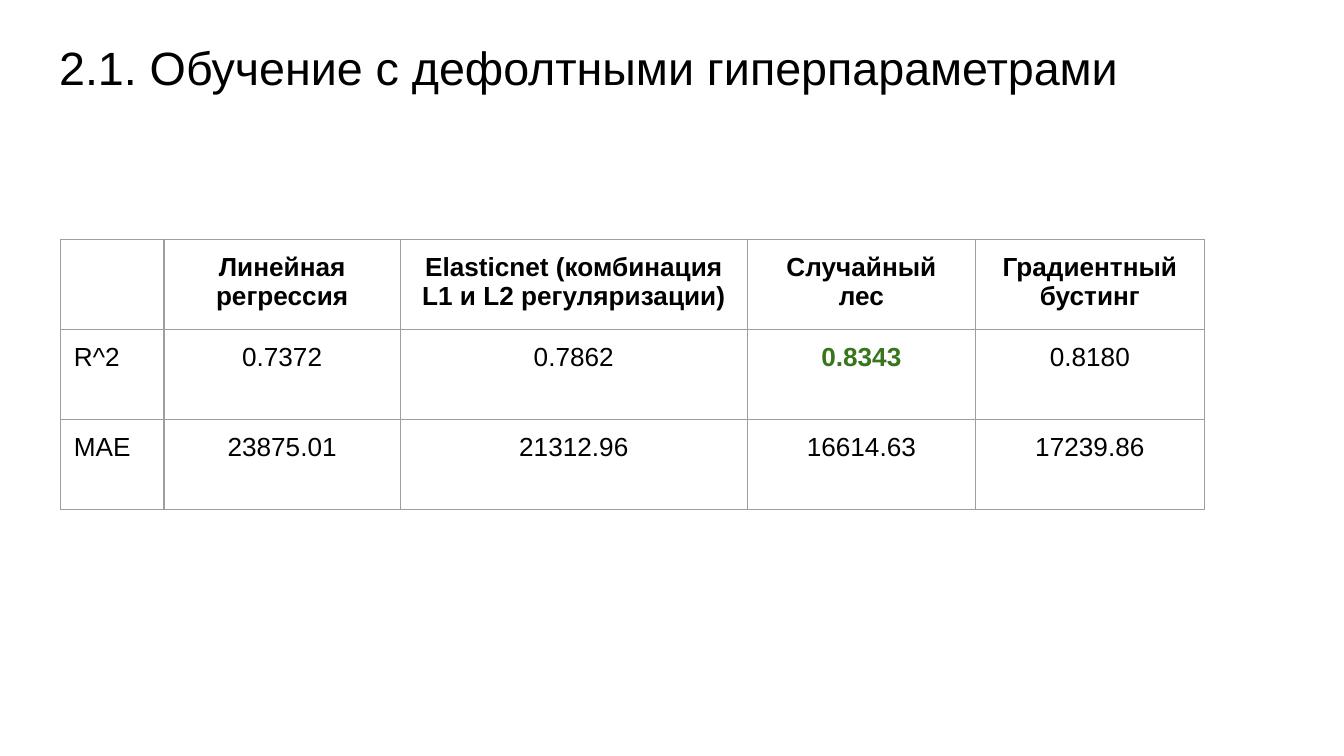
from dataclasses import dataclass

import lxml.etree
import pptx
import pptx.dml.color
import pptx.enum.text
import pptx.oxml.ns
import pptx.util

Inches = pptx.util.Inches
Pt = pptx.util.Pt
Align = pptx.enum.text.PP_ALIGN


@dataclass(frozen=True)
class Theme:
    font: str = "Arial"
    text: str = "000000"
    best: str = "38761D"
    border: str = "9E9E9E"
    background: str = "FFFFFF"
    title_size: float = 25
    table_size: float = 14
    border_width: float = 0.75
    inset: float = 0.1


@dataclass(frozen=True)
class Spacing:
    before: float
    after: float


@dataclass(frozen=True)
class Column:
    width: float
    header: str
    values: tuple[str, ...]
    spacing: Spacing


THEME = Theme()
WIDE = Spacing(14, 4)
COMPACT = Spacing(0, 12)
BEST_VALUE = "0.8343"
ROW_HEIGHT = 0.67
COLUMNS = (
    Column(0.77, "", ("R^2", "MAE"), WIDE),
    Column(1.76, "Линейная регрессия", ("0.7372", "23875.01"), WIDE),
    Column(2.58, "Elasticnet (комбинация L1 и L2 регуляризации)", ("0.7862", "21312.96"), WIDE),
    Column(1.7, "Случайный лес", (BEST_VALUE, "16614.63"), COMPACT),
    Column(1.7, "Градиентный бустинг", ("0.8180", "17239.86"), COMPACT),
)


def add_run(paragraph, text: str, size: float, color: str, bold: bool = False) -> None:
    run = paragraph.add_run()
    run.text = text
    run.font.name = THEME.font
    run.font.size = Pt(size)
    run.font.bold = bold
    run.font.color.rgb = pptx.dml.color.RGBColor.from_string(color)


def set_insets(target) -> None:
    for side in ("left", "right", "top", "bottom"):
        setattr(target, f"margin_{side}", Inches(THEME.inset))


def set_borders(cell) -> None:
    properties = cell._tc.get_or_add_tcPr()
    qualified = pptx.oxml.ns.qn
    for edge in ("lnL", "lnR", "lnT", "lnB"):
        line = lxml.etree.SubElement(
            properties, qualified(f"a:{edge}"), w=str(Pt(THEME.border_width))
        )
        fill = lxml.etree.SubElement(line, qualified("a:solidFill"))
        lxml.etree.SubElement(fill, qualified("a:srgbClr"), val=THEME.border)


def fill_cell(cell, text: str, header: bool, centered: bool, spacing: Spacing) -> None:
    set_insets(cell)
    set_borders(cell)
    cell.fill.background()
    if not text:
        return
    best = text == BEST_VALUE
    paragraph = cell.text_frame.paragraphs[0]
    paragraph.alignment = Align.CENTER if centered else Align.LEFT
    paragraph.space_before = Pt(spacing.before)
    paragraph.space_after = Pt(spacing.after)
    color = THEME.best if best else THEME.text
    add_run(paragraph, text, THEME.table_size, color, header or best)


def add_title(slide, text: str) -> None:
    title = slide.shapes.title
    title.left, title.top = Inches(0.34), Inches(0.13)
    title.width, title.height = Inches(9.32), Inches(0.63)
    frame = title.text_frame
    frame.word_wrap = True
    frame.auto_size = pptx.enum.text.MSO_AUTO_SIZE.NONE
    frame.vertical_anchor = pptx.enum.text.MSO_ANCHOR.TOP
    set_insets(frame)
    paragraph = frame.paragraphs[0]
    paragraph.alignment = Align.LEFT
    paragraph.line_spacing = 1.15
    paragraph.space_before = Pt(0)
    paragraph.space_after = Pt(12)
    add_run(paragraph, text, THEME.title_size, THEME.text)


def add_metrics_table(slide, columns: tuple[Column, ...]) -> None:
    row_count = 1 + len(columns[0].values)
    table = slide.shapes.add_table(
        row_count, len(columns), Inches(0.45), Inches(1.78),
        Inches(sum(column.width for column in columns)), Inches(ROW_HEIGHT * row_count),
    ).table
    table.horz_banding = False
    table.first_row = False
    for row in table.rows:
        row.height = Inches(ROW_HEIGHT)
    for column_index, column in enumerate(columns):
        table.columns[column_index].width = Inches(column.width)
        for row_index, text in enumerate((column.header, *column.values)):
            header = row_index == 0
            fill_cell(
                table.cell(row_index, column_index), text, header,
                column_index > 0, WIDE if header else column.spacing,
            )


def main() -> None:
    presentation = pptx.Presentation()
    presentation.slide_width = Inches(10)
    presentation.slide_height = Inches(10 * 9 / 16)
    slide = presentation.slides.add_slide(presentation.slide_layouts[5])
    background = slide.background.fill
    background.solid()
    background.fore_color.rgb = pptx.dml.color.RGBColor.from_string(THEME.background)
    add_title(slide, "2.1. Обучение с дефолтными гиперпараметрами")
    add_metrics_table(slide, COLUMNS)
    presentation.save("out.pptx")


if __name__ == "__main__":
    main()
